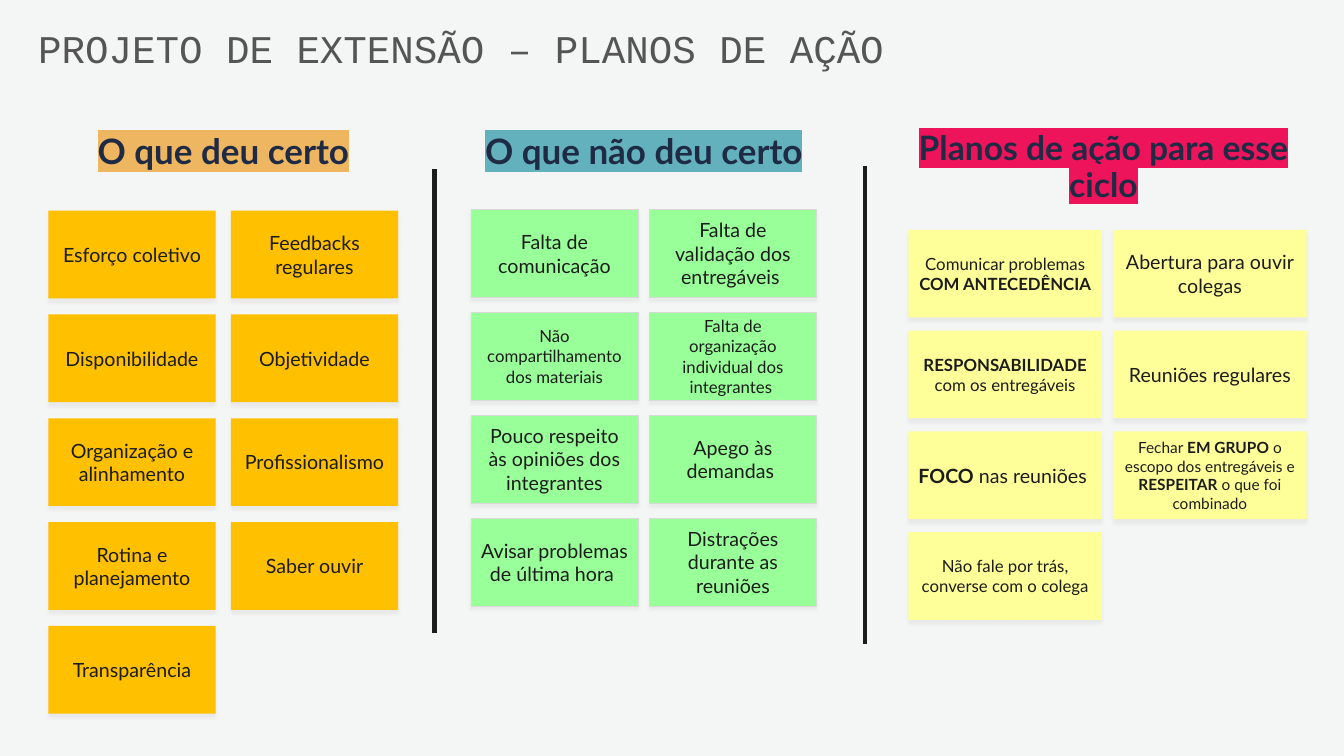
import lxml.etree
import pptx
import pptx.dml.color
import pptx.enum.shapes
import pptx.enum.text
import pptx.oxml.ns
import pptx.util

HUES = {
    "back": "F4F5F5", "title": "555555", "head": "1F2A44", "ink": "1C1C1C",
    "edge": "D9D9D9", "amber": "FFC000", "green": "99FF99", "lemon": "FFFF99",
    "sand": "EFB661", "teal": "63B1BC", "pink": "ED145B",
}
TITLE = "PROJETO DE EXTENSÃO – PLANOS DE AÇÃO"
HEADS = [
    ("O que deu certo", (0.48, 1.28, 3.47, 0.6), 25, "sand"),
    ("O que não deu certo", (4.67, 1.28, 3.43, 0.6), 25, "teal"),
    ("Planos de ação para esse ciclo", (8.93, 1.26, 4.03, 0.57), 24, "pink"),
]
RULES = [(4.31, 1.68, 6.28), (8.58, 1.65, 6.39)]
BOARDS = [
    {"hue": "amber", "edge": False, "left": 0.48, "top": 2.09, "wide": 1.66,
     "step": (1.81, 1.03), "notes": [
         (14, "Esforço coletivo"), (14, "Feedbacks regulares"),
         (14, "Disponibilidade"), (14, "Objetividade"),
         (14, "Organização e alinhamento"), (14, "Profissionalismo"),
         (14, "Rotina e planejamento"), (14, "Saber ouvir"),
         (14, "Transparência")]},
    {"hue": "green", "edge": True, "left": 4.67, "top": 2.08, "wide": 1.66,
     "step": (1.77, 1.02), "notes": [
         (14, "Falta de comunicação"),
         (14, "Falta de validação dos entregáveis "),
         (12, "Não compartilhamento dos materiais"),
         (12, "Falta de organização individual dos integrantes "),
         (14, "Pouco respeito às opiniões dos integrantes"),
         (14, "Apego às demandas "),
         (14, "Avisar problemas de última hora "),
         (14, "Distrações durante as reuniões")]},
    {"hue": "lemon", "edge": False, "left": 9.01, "top": 2.28, "wide": 1.92,
     "step": (2.03, 1.0), "notes": [
         (12, "Comunicar problemas *COM ANTECEDÊNCIA*"),
         (14, "Abertura para ouvir colegas"),
         (12, "*RESPONSABILIDADE* com os entregáveis"),
         (14, "Reuniões regulares"),
         (14, "*FOCO* nas reuniões "),
         (11, "Fechar *EM GRUPO* o escopo dos entregáveis e "
              "*RESPEITAR* o que foi combinado"),
         (12, "Não fale por trás, converse com o colega")]},
]
TALL = 0.87
INCH = pptx.util.Inches
PT = pptx.util.Pt
MID = pptx.enum.text.PP_ALIGN.CENTER
ANCHOR = pptx.enum.text.MSO_ANCHOR
SHAPE = pptx.enum.shapes.MSO_SHAPE.RECTANGLE
LINE = pptx.enum.shapes.MSO_CONNECTOR.STRAIGHT
QN = pptx.oxml.ns.qn


def tint(hue):
    return pptx.dml.color.RGBColor.from_string(HUES[hue])


def put(thing, form):
    for key, val in form.items():
        setattr(thing, key, val)


def add(root, tag, **form):
    return lxml.etree.SubElement(root, QN(tag), form)


def write(shape, text, size, hue, form, font="Lato", bold=False,
          anchor=ANCHOR.TOP):
    put(shape.text_frame, {"word_wrap": True, "vertical_anchor": anchor})
    para = shape.text_frame.paragraphs[0]
    put(para, form)
    for spot, part in enumerate(text.split("*")):
        if part:
            run = para.add_run()
            run.text = part
            put(run.font, {"size": PT(size), "name": font,
                           "bold": bold or spot % 2 == 1})
            run.font.color.rgb = tint(hue)
    return para


def mark(para, hue):
    for run in para.runs:
        props = run.font._element
        glow = add(props, "a:highlight")
        add(glow, "a:srgbClr", val=HUES[hue])
        props.find(QN("a:solidFill")).addnext(glow)


def shade(shape):
    shape.shadow.inherit = False
    root = shape._element.spPr.find(QN("a:effectLst"))
    cast = add(root, "a:outerShdw", blurRad=str(PT(2)), dist=str(PT(3)),
               dir="5400000", algn="t", rotWithShape="0")
    tone = add(cast, "a:srgbClr", val=HUES["edge"])
    add(tone, "a:alpha", val="40000")


def draw_rule(slide, left, top, end):
    rule = slide.shapes.add_connector(
        LINE, INCH(left), INCH(top), INCH(left), INCH(end))
    rule.line.width = PT(3)
    rule.line.color.rgb = tint("ink")
    add(rule._element.spPr, "a:effectLst")


def draw_board(slide, board):
    for spot, (size, text) in enumerate(board["notes"]):
        row, col = divmod(spot, 2)
        left = board["left"] + col * board["step"][0]
        top = board["top"] + row * board["step"][1]
        note = slide.shapes.add_shape(
            SHAPE, INCH(left), INCH(top), INCH(board["wide"]), INCH(TALL))
        note.fill.solid()
        note.fill.fore_color.rgb = tint(board["hue"])
        if board["edge"]:
            note.line.width = PT(0.25)
            note.line.color.rgb = tint("edge")
        else:
            note.line.fill.background()
        shade(note)
        write(note, text, size, "ink", {"alignment": MID},
              anchor=ANCHOR.MIDDLE)


def main():
    """Build the action plan slide."""
    deck = pptx.Presentation()
    put(deck, {"slide_width": INCH(13.33), "slide_height": INCH(7.5)})
    slide = deck.slides.add_slide(deck.slide_layouts[6])
    slide.background.fill.solid()
    slide.background.fill.fore_color.rgb = tint("back")
    title = slide.shapes.add_textbox(*map(INCH, (0.28, 0.19, 10.75, 1.24)))
    write(title, TITLE, 28, "title", {"space_after": PT(6)}, "Courier New")
    for text, place, size, hue in HEADS:
        head = slide.shapes.add_textbox(*map(INCH, place))
        form = {"alignment": MID, "line_spacing": 0.9, "space_before": PT(10)}
        mark(write(head, text, size, "head", form, bold=True), hue)
    for rule in RULES:
        draw_rule(slide, *rule)
    for board in BOARDS:
        draw_board(slide, board)
    deck.save("out.pptx")


if __name__ == "__main__":
    main()
